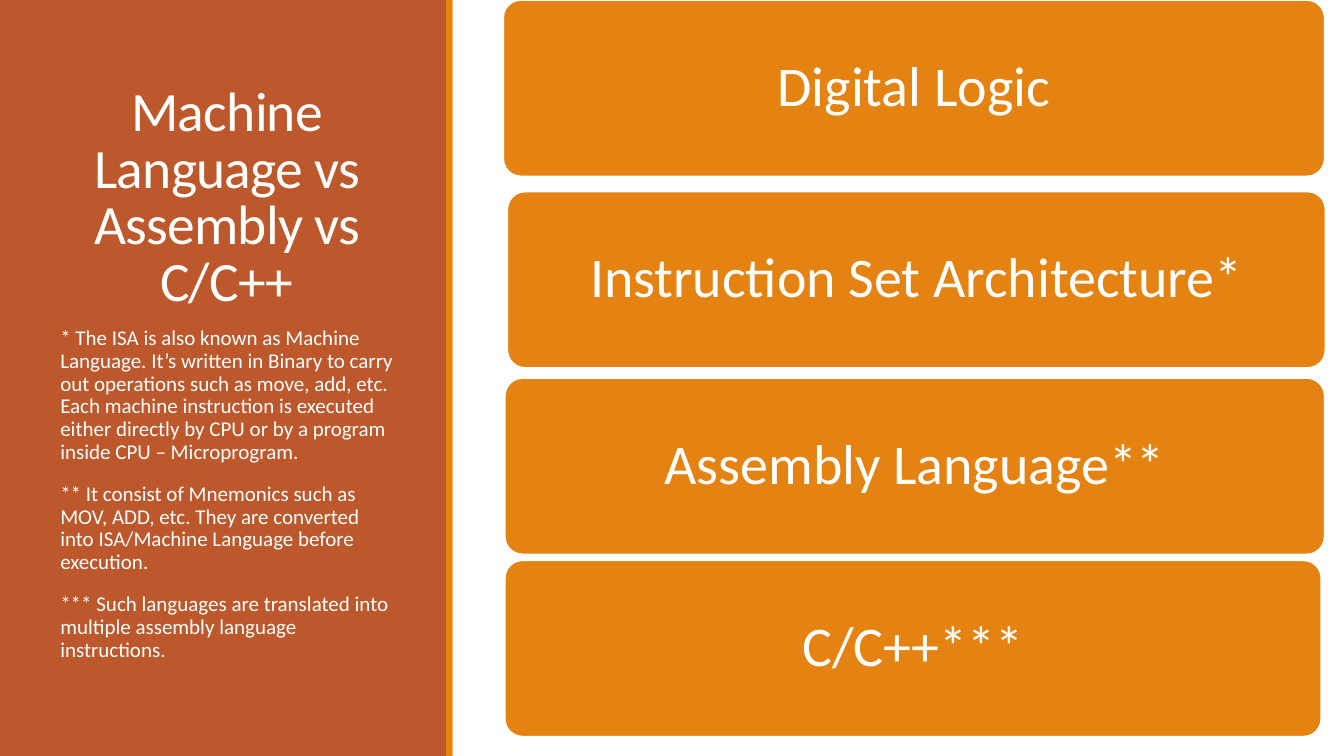
from collections import namedtuple

from lxml.etree import SubElement
from pptx import Presentation
from pptx.dml.color import RGBColor
from pptx.enum.shapes import MSO_SHAPE as Shape
from pptx.enum.text import MSO_ANCHOR as Anchor, PP_ALIGN as Align
from pptx.util import Inches, Pt

# The slide is a grid of 160 columns by 90 rows, each cell 1/12 inch.
COLUMNS, ROWS = 160, 90
CELL = Inches(1) / 12
FONT = "Calibri"
COLORS = {"panel": "BD582C", "accent": "E48312", "white": "FFFFFF"}

Box = namedtuple("Box", "left top width height")

TITLE = "Machine Language vs Assembly vs C/C++"
NOTES = [
    "* The ISA is also known as Machine Language. It’s written in Binary to "
    "carry out operations such as move, add, etc. Each machine instruction is "
    "executed either directly by CPU or by a program inside CPU – Microprogram.",
    "** It consist of Mnemonics such as MOV, ADD, etc. They are converted into "
    "ISA/Machine Language before execution.",
    "*** Such languages are translated into multiple assembly language "
    "instructions.",
]
# Each level: label, column and row offset within the stack, width in columns.
LEVELS = [
    ("Digital Logic", 0, 0, 97.8),
    ("Instruction Set Architecture*", 0.5, 22.8, 97.4),
    ("Assembly Language**", 0.2, 45, 97.6),
    ("C/C++***", 0.2, 66.7, 97.2),
]
LEVEL_ROWS = 21


def color(name):
    """Return the named palette colour."""
    return RGBColor.from_string(COLORS[name])


def inside(box, left, top, width, height):
    """Return a box offset from the top left corner of another box."""
    return Box(box.left + left, box.top + top, width, height)


def emu(box):
    """Convert a grid box to slide lengths."""
    return [round(value * CELL) for value in box]


def write(shape, texts, size, align=Align.LEFT, anchor=Anchor.TOP,
          line=0.9, before=0, after=0, tracking=None):
    """Fill a shape with one formatted paragraph per text."""
    frame = shape.text_frame
    frame.word_wrap = True
    frame.vertical_anchor = anchor
    for index, text in enumerate(texts):
        para = frame.add_paragraph() if index else frame.paragraphs[0]
        para.alignment, para.line_spacing = align, line
        para.space_before, para.space_after = Pt(before), Pt(after)
        span = para.add_run()
        span.text = text
        span.font.name, span.font.size = FONT, Pt(size)
        span.font.color.rgb = color("white")
        if tracking is not None:
            span.font._element.set("spc", str(round(tracking * 100)))
    return frame


def add_block(page, box, fill, kind=Shape.RECTANGLE):
    """Draw a flat filled shape without an outline."""
    block = page.shapes.add_shape(kind, *emu(box))
    block.shadow.inherit = False
    block.fill.solid()
    block.fill.fore_color.rgb = color(fill)
    block.line.fill.background()
    return block


def add_side_panel(page, box):
    """Place the coloured panel with its edge strip, title and notes."""
    strip = 0.8
    add_block(page, inside(box, 0, 0, box.width - strip, box.height), "panel")
    add_block(page, inside(box, box.width - strip, 0, strip, box.height),
              "accent")
    title = page.shapes.add_textbox(*emu(inside(box, 6, 7.8, 42, 30)))
    write(title, [TITLE], 39.6, align=Align.CENTER, anchor=Anchor.BOTTOM,
          line=0.85, tracking=-0.5)
    notes = page.shapes.add_textbox(*emu(inside(box, 6, 38.4, 42, 44.4)))
    write(notes, NOTES, 15, before=12, after=2)


def add_level_stack(page, box):
    """Place the rounded language levels from top to bottom."""
    for label, left, top, width in LEVELS:
        level = add_block(page, inside(box, left, top, width, LEVEL_ROWS),
                          "accent", Shape.ROUNDED_RECTANGLE)
        level.adjustments[0] = 0.1
        level.line.color.rgb = color("white")
        level.line.width = Pt(1.25)
        frame = write(level, [label], 40, align=Align.CENTER,
                      anchor=Anchor.MIDDLE)
        frame.margin_left = frame.margin_right = Inches(0.17)
        frame.margin_top = frame.margin_bottom = Inches(0.17)


deck = Presentation()
deck.slide_width, deck.slide_height = round(COLUMNS * CELL), round(ROWS * CELL)
page = deck.slides.add_slide(deck.slide_layouts[6])
page.background.fill.solid()
page.background.fill.fore_color.rgb = color("white")
add_side_panel(page, Box(0, 0, 53.9, ROWS))
add_level_stack(page, Box(59.9, 0, 97.8, 87.7))
deck.save("out.pptx")
